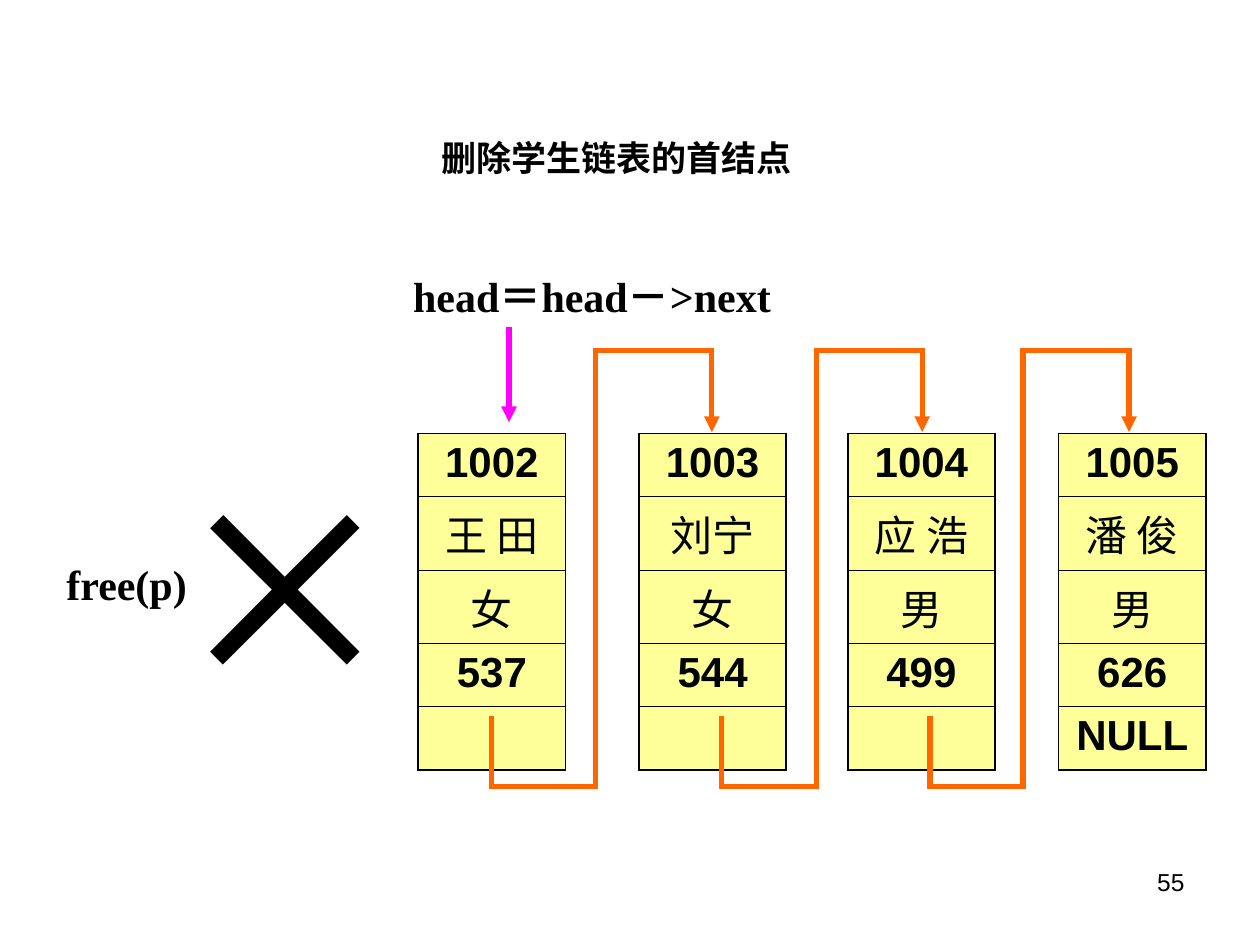
"""Build the slide on deleting the first node of a linked list of students."""
import pptx
import pptx.dml.color
import pptx.enum.shapes
import pptx.enum.text
import pptx.oxml
import pptx.oxml.ns
import pptx.util
from lxml import etree

Cm, Pt = pptx.util.Cm, pptx.util.Pt
ALIGN = pptx.enum.text.PP_ALIGN
ANCHOR = pptx.enum.text.MSO_ANCHOR
CJK, SERIF, SANS = "Noto Sans CJK SC", "Times New Roman", "Arial"

TITLE = ("删除学生链表的首结点", (6.71, 2.62, 11.43, 1.12), ALIGN.CENTER, CJK, CJK, {"size": Pt(20), "bold": True})
LABELS = [
    ("55", (18.21, 17.35, 5.92, 1.32), ALIGN.RIGHT, SANS, CJK, {"size": Pt(14)}),
    ("head＝head－>next", (7.49, 5.33, 8.89, 1.27), ALIGN.CENTER, SERIF, CJK, {"size": Pt(24), "bold": True}),
    ("×", (1.73, 6.83, 8.05, 9.14), ALIGN.CENTER, SERIF, SERIF, {"size": Pt(210)}),
    ("free(p)", (1.09, 11.13, 2.97, 1.27), ALIGN.LEFT, SERIF, CJK, {"size": Pt(24), "bold": True}),
]
NODES = [
    (8.43, ["1002", "王 田", "女", "537", ""]),
    (12.88, ["1003", "刘宁", "女", "544", ""]),
    (17.09, ["1004", "应 浩", "男", "499", ""]),
    (21.34, ["1005", "潘 俊", "男", "626", "NULL"]),
]
NODE_TOP, NODE_W, ROW_H = 8.74, 2.97, 1.27
LINKS = [(9.91, 12.01, 14.35), (14.55, 16.46, 18.59), (18.75, 20.62, 22.76)]
LINK_START, LINK_LOW, LINK_HIGH, LINK_END, OVERLAP = 14.43, 15.85, 7.06, 8.71, 0.05
HEAD_ARROW = (10.26, 6.6, 10.26, 8.51)


def color(value):
    return pptx.dml.color.RGBColor.from_string(value)


def write(tf, text, align, latin, east, fmt, ink="000000"):
    p = tf.paragraphs[0]
    p.alignment, p.space_before = align, Pt(0)
    r = p.add_run()
    r.text = text
    for name, value in {"name": latin, **fmt}.items():
        setattr(r.font, name, value)
    r.font.color.rgb = color(ink)
    ea = etree.SubElement(r.font._element, pptx.oxml.ns.qn("a:ea"))
    ea.set("typeface", east)


def place(sp, label):
    text, box, *style = label
    sp.left, sp.top, sp.width, sp.height = map(Cm, box)
    tf = sp.text_frame
    frame = {"word_wrap": True, "vertical_anchor": ANCHOR.TOP, "auto_size": pptx.enum.text.MSO_AUTO_SIZE.NONE}
    for name, value in frame.items():
        setattr(tf, name, value)
    write(tf, text, *style)


def border(cell, side, width):
    ln = pptx.oxml.parse_xml(
        f'<a:ln{side} {pptx.oxml.ns.nsdecls("a")} w="{Pt(width)}"><a:solidFill>'
        f'<a:srgbClr val="000000"/></a:solidFill></a:ln{side}>')
    cell._tc.get_or_add_tcPr().append(ln)


def add_node(s, left, values):
    count = len(values)
    table = s.shapes.add_table(count, 1, Cm(left), Cm(NODE_TOP), Cm(NODE_W), Cm(ROW_H * count)).table
    for i, value in enumerate(values):
        table.rows[i].height = Cm(ROW_H)
        cell = table.cell(i, 0)
        widths = {"L": 1.08, "R": 1.08, "T": 0.45 if i else 1.08, "B": 1.08 if i == count - 1 else 0.45}
        for side, width in widths.items():
            border(cell, side, width)
        cell.fill.solid()
        cell.fill.fore_color.rgb = color("FFFF99")
        if value:
            bold = value.isascii()
            write(cell.text_frame, value, ALIGN.CENTER, SANS, CJK, {"size": Pt(24), "bold": bold}, "000404")


def add_line(s, ends, ink, arrow=False):
    line = s.shapes.add_connector(pptx.enum.shapes.MSO_CONNECTOR.STRAIGHT, *map(Cm, ends))
    line.line.width = Pt(3)
    line.line.color.rgb = color(ink)
    if arrow:
        tail = etree.SubElement(line.line._get_or_add_ln(), pptx.oxml.ns.qn("a:tailEnd"))
        tail.set("type", "triangle")
    etree.SubElement(line._element.spPr, pptx.oxml.ns.qn("a:effectLst"))


def add_link(s, start, middle, end):
    low, high = LINK_LOW + OVERLAP, LINK_HIGH - OVERLAP
    parts = [
        (start, LINK_START, start, low),
        (start, LINK_LOW, middle, LINK_LOW),
        (middle, low, middle, high),
        (middle, LINK_HIGH, end, LINK_HIGH),
        (end, high, end, LINK_END),
    ]
    for ends in parts:
        add_line(s, ends, "FF6600", arrow=ends == parts[-1])


def main():
    prs = pptx.Presentation()
    prs.slide_width, prs.slide_height = Cm(25.4), Cm(19.05)
    s = prs.slides.add_slide(prs.slide_layouts[5])
    place(s.shapes.title, TITLE)
    for left, values in NODES:
        add_node(s, left, values)
    for link in LINKS:
        add_link(s, *link)
    for label in LABELS:
        place(s.shapes.add_textbox(0, 0, 0, 0), label)
    add_line(s, HEAD_ARROW, "FF00FF", arrow=True)
    prs.save("out.pptx")


if __name__ == "__main__":
    main()
